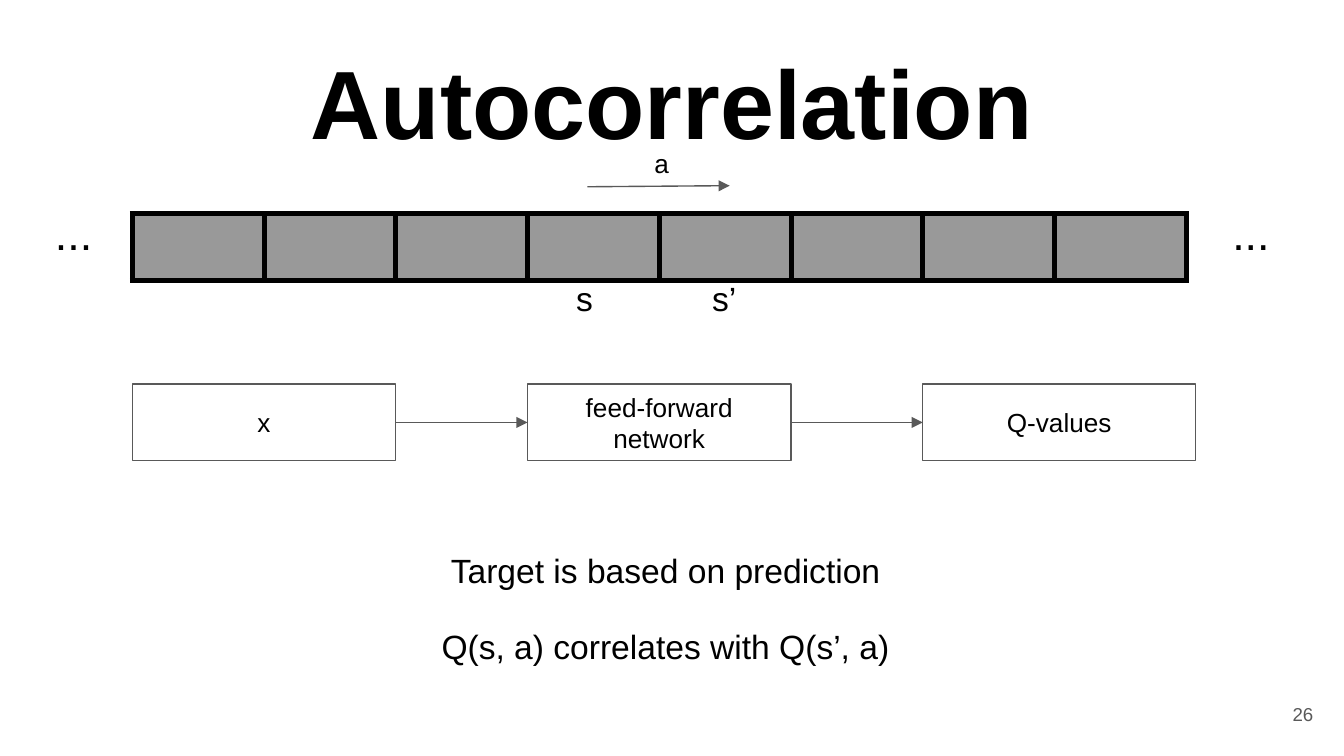
import pptx
import pptx.dml.color
import pptx.enum.shapes
import pptx.enum.text
import pptx.oxml.ns
import pptx.util
from lxml import etree

Cm = pptx.util.Cm
Pt = pptx.util.Pt
ALIGN = pptx.enum.text.PP_ALIGN
ANCHOR = pptx.enum.text.MSO_ANCHOR
FONT = "Arial"
HUES = {"ink": "000000", "line": "595959", "cell": "999999", "paper": "FFFFFF"}


def hue(name):
    return pptx.dml.color.RGBColor.from_string(HUES[name])


def add(parent, tag, **attrs):
    return etree.SubElement(parent, pptx.oxml.ns.qn(tag), attrs)


class Deck:
    def __init__(self, wide, high):
        self.file = pptx.Presentation()
        self.file.slide_width = Cm(wide)
        self.file.slide_height = Cm(high)
        self.slide = self.file.slides.add_slide(self.file.slide_layouts[6])
        self.shapes = self.slide.shapes

    def label(self, shape, lines, size, color="ink", bold=False,
              align=ALIGN.LEFT, anchor=ANCHOR.TOP):
        frame = shape.text_frame
        frame.text = lines
        frame.word_wrap = True
        frame.vertical_anchor = anchor
        frame.margin_left = frame.margin_right = Cm(0.25)
        frame.margin_top = frame.margin_bottom = Cm(0.25)
        for par in frame.paragraphs:
            par.alignment = align
            for run in par.runs:
                run.font.name = FONT
                run.font.size = Pt(size)
                run.font.bold = bold
                run.font.color.rgb = hue(color)
        return frame

    def text(self, x, y, w, h, lines, size, **style):
        shape = self.shapes.add_textbox(Cm(x), Cm(y), Cm(w), Cm(h))
        return self.label(shape, lines, size, **style)

    def box(self, x, y, w, h, words):
        shape = self.shapes.add_shape(
            pptx.enum.shapes.MSO_SHAPE.RECTANGLE, Cm(x), Cm(y), Cm(w), Cm(h))
        shape.shadow.inherit = False
        shape.fill.solid()
        shape.fill.fore_color.rgb = hue("paper")
        shape.line.color.rgb = hue("line")
        shape.line.width = Pt(0.75)
        self.label(shape, words, 14, align=ALIGN.CENTER, anchor=ANCHOR.MIDDLE)
        return shape

    def arrow(self, x1=0, y1=0, x2=0, y2=0):
        line = self.shapes.add_connector(
            pptx.enum.shapes.MSO_CONNECTOR.STRAIGHT, Cm(x1), Cm(y1), Cm(x2), Cm(y2))
        line.line.color.rgb = hue("line")
        line.line.width = Pt(0.75)
        add(line.line._get_or_add_ln(), "a:tailEnd", type="triangle")
        add(line._element.spPr, "a:effectLst")
        return line

    def link(self, start, end):
        line = self.arrow()
        line.begin_connect(start, 3)
        line.end_connect(end, 1)

    def strip(self, x, y, w, h, count):
        table = self.shapes.add_table(
            1, count, Cm(x), Cm(y), Cm(w * count), Cm(h)).table
        table.first_row = table.horz_banding = False
        for col in table.columns:
            col.width = Cm(w)
        for cell in table.iter_cells():
            cell.margin_top = cell.margin_bottom = Cm(0.25)
            props = cell._tc.get_or_add_tcPr()
            for side in ("L", "R", "T", "B"):
                edge = add(props, f"a:ln{side}", w=str(int(Pt(3))))
                add(add(edge, "a:solidFill"), "a:srgbClr", val=HUES["ink"])
            cell.fill.solid()
            cell.fill.fore_color.rgb = hue("cell")


def main():
    deck = Deck(25.4, 14.29)
    left, cell = 2.5, 2.49

    # Title and page number
    deck.text(0, 0.56, 25.4, 1.78, "Autocorrelation", 52, bold=True,
              align=ALIGN.CENTER)
    deck.text(23.55, 12.95, 1.52, 1.09, "26", 10, color="line",
              align=ALIGN.RIGHT, anchor=ANCHOR.MIDDLE)

    # Strip of states, with dots on both sides
    deck.strip(left, 4.04, cell, 1.09, 8)
    for x in (0.79, 23.04):
        deck.text(x, 3.63, 1.98, 0.99, "...", 24)
    for x, state in ((10.64, "s"), (13.21, "s’")):
        deck.text(x, 5, 1.98, 1.68, state, 18)

    # Action from one state to the next
    deck.arrow(11.1, 3.53, 13.79, 3.51)
    deck.text(12.12, 2.54, 0.91, 0.79, "a", 14)

    # Network flow: each box starts three cells after the last
    flow = (("x", 2 * cell), ("feed-forward network", 2 * cell), ("Q-values", 5.16))
    boxes = [deck.box(left + 3 * cell * i, 7.26, wide, 1.45, words)
             for i, (words, wide) in enumerate(flow)]
    for start, end in zip(boxes, boxes[1:]):
        deck.link(start, end)

    # Closing remarks
    notes = deck.text(
        4.11, 10.03, 16.94, 1.55,
        "Target is based on prediction\nQ(s, a) correlates with Q(s’, a)",
        18, align=ALIGN.CENTER)
    for par in notes.paragraphs:
        par.line_spacing = 1.15
    notes.paragraphs[1].space_before = Pt(16)

    deck.file.save("out.pptx")


if __name__ == "__main__":
    main()
